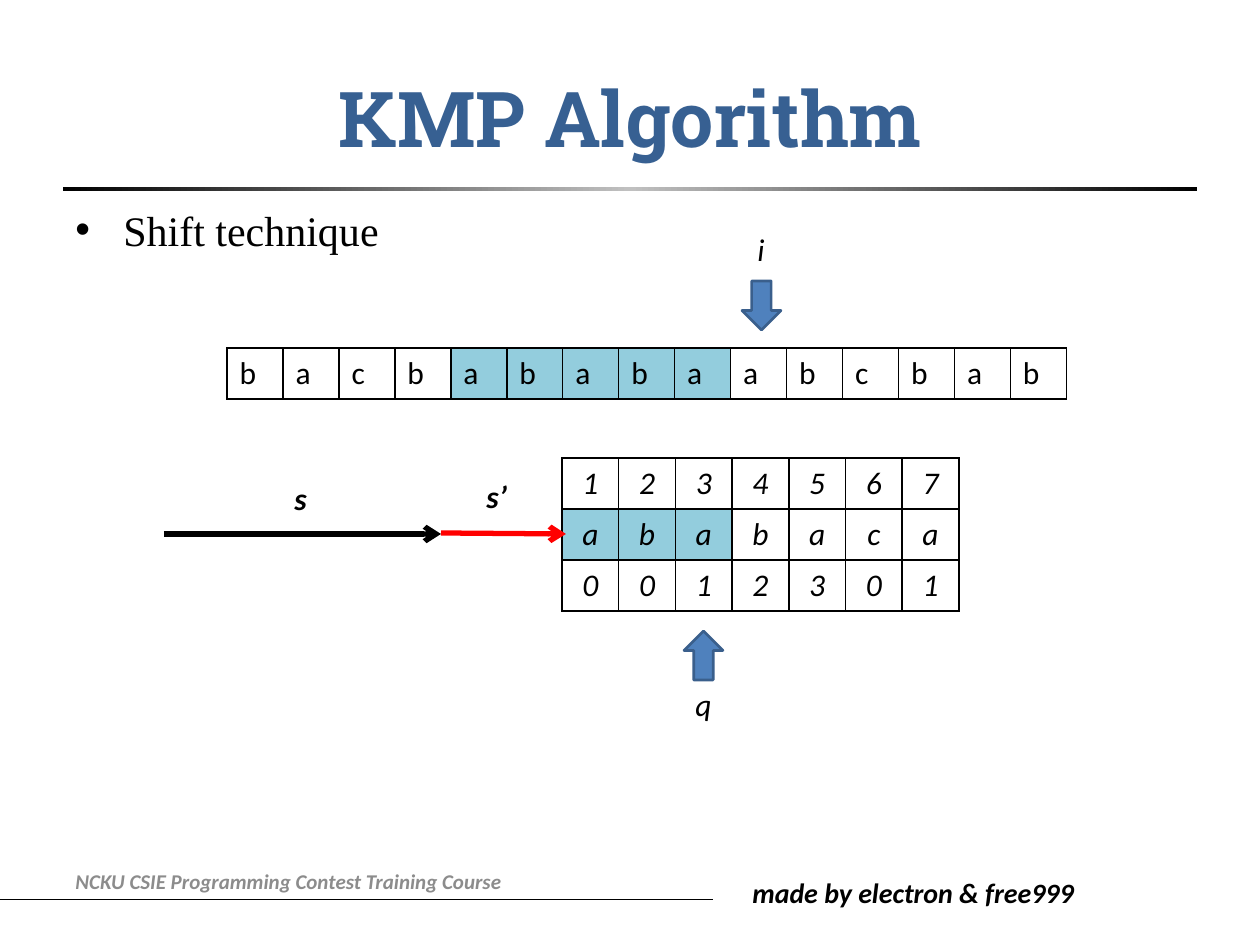
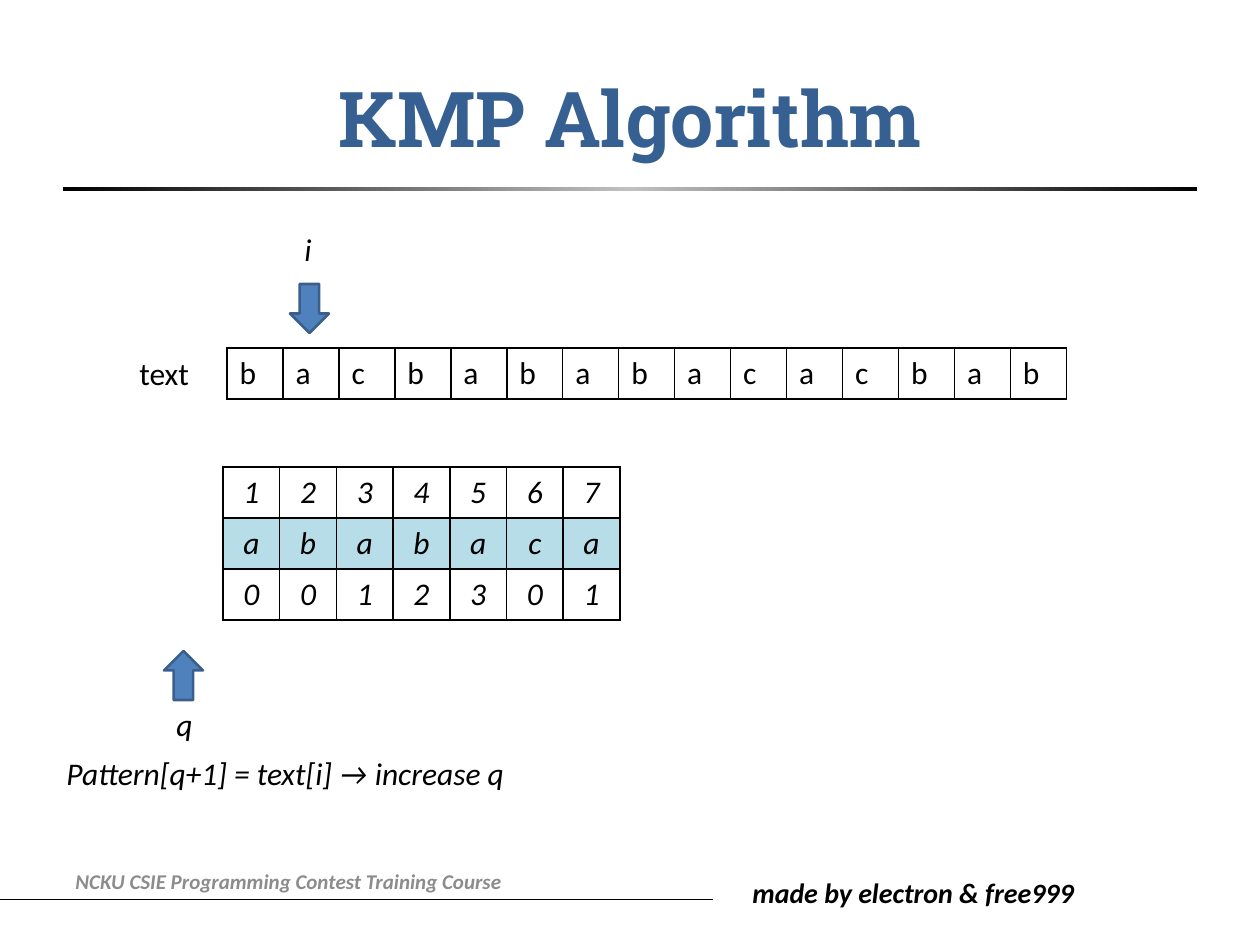
import copy
import lxml.etree
import pptx
import pptx.dml.color
import pptx.enum.shapes
import pptx.enum.text
import pptx.oxml.ns
import pptx.util

PX = 914400 / 126  # EMU in one px
COLORS = {
    "title": "376092", "ink": "000000", "footer": "8C8C8C", "silver": "C0C0C0",
    "red": "FF0000", "arrow": "4F81BD", "arrow_edge": "3A5F8C",
    "match": "93CDDD", "pattern": "B7DEE8",
}
RGB = {name: pptx.dml.color.RGBColor.from_string(value) for name, value in COLORS.items()}
ALIGN = pptx.enum.text.PP_ALIGN
MIDDLE = pptx.enum.text.MSO_ANCHOR.MIDDLE
SHAPES = pptx.enum.shapes.MSO_SHAPE
qn = pptx.oxml.ns.qn


def add_text(slide, box, text, size=18, color="ink", font="Calibri", bold=False, italic=True):
    shape = slide.shapes.add_textbox(*[round(n * PX) for n in box])
    shape.text_frame.word_wrap = True
    paragraph = shape.text_frame.paragraphs[0]
    paragraph.text = text
    paragraph.font.name, paragraph.font.size = font, pptx.util.Pt(size)
    paragraph.font.bold, paragraph.font.italic = bold, italic
    paragraph.font.color.rgb = RGB[color]
    return shape


def add_grid(slide, left, top, width, rows, filled, fill_color, align, italic):
    """Draw one row per string, one letter per cell; filled holds (row, column) pairs."""
    columns = len(rows[0])
    box = [round(n * PX) for n in (left, top, width, 51 * len(rows))]
    table = slide.shapes.add_table(len(rows), columns, *box).table
    table.first_row = table.horz_banding = False
    for column in table.columns:
        column.width = round(width * PX / columns)
    for r, letters in enumerate(rows):
        for c, letter in enumerate(letters):
            cell = table.cell(r, c)
            cell.text = letter
            paragraph = cell.text_frame.paragraphs[0]
            paragraph.alignment = align
            paragraph.font.name, paragraph.font.size = "Calibri", pptx.util.Pt(18)
            paragraph.font.bold, paragraph.font.italic = False, italic
            paragraph.font.color.rgb = RGB["ink"]
            properties = cell._tc.get_or_add_tcPr()
            for side in ("lnL", "lnR", "lnT", "lnB"):
                border = lxml.etree.SubElement(properties, qn("a:" + side), w="12700")
                solid = lxml.etree.SubElement(border, qn("a:solidFill"))
                lxml.etree.SubElement(solid, qn("a:srgbClr"), val=COLORS["ink"])
            if (r, c) in filled:
                cell.fill.solid()
                cell.fill.fore_color.rgb = RGB[fill_color]
            else:
                cell.fill.background()


# What each slide shows; lengths in px
PATTERN_ROWS = ["1234567", "ababaca", "0012301"]
BOLD = {"bold": True}
UPRIGHT = {"italic": False}
SLIDES = [
    {
        "bullet": "Shift technique",
        "text": "bacbababaabcbab", "text_match": range(4, 9),
        "pattern_at": (562, 458), "pattern_match": range(3), "pattern_color": "match",
        "shifts": [(164, 534, 441, 534, "ink", 3, True), (441, 533, 566, 534, "red", 3, True)],
        "pointers": [(SHAPES.DOWN_ARROW, 742, 281), (SHAPES.UP_ARROW, 684, 631)],
        "labels": [
            ((282, 473, 59, 50), "s", BOLD), ((474, 471, 59, 50), "s’", BOLD),
            ((745, 224, 39, 50), "i", {}), ((683, 679, 39, 50), "q", {}),
        ],
    },
    {
        "bullet": None,
        "text": "bacbababacacbab", "text_match": [],
        "pattern_at": (223, 467), "pattern_match": range(7), "pattern_color": "pattern",
        "shifts": [],
        "pointers": [(SHAPES.DOWN_ARROW, 290, 284), (SHAPES.UP_ARROW, 164, 651)],
        "labels": [
            ((127, 348, 100, 50), "text", UPRIGHT), ((292, 224, 39, 50), "i", {}),
            ((164, 699, 39, 50), "q", {}),
            ((54, 748, 507, 50), "Pattern[q+1] = text[i] → increase q", {}),
        ],
    },
]
FOOTER_RULE = (0, 899, 713, 899, "ink", 0.5, False)

presentation = pptx.Presentation()
presentation.slide_width, presentation.slide_height = round(1260 * PX), round(945 * PX)

for content in SLIDES:
    slide = presentation.slides.add_slide(presentation.slide_layouts[5])

    # Title
    title = slide.shapes.title
    title.left, title.top, title.width, title.height = [round(n * PX) for n in (63, 38, 1134, 157)]
    title.text_frame.vertical_anchor = MIDDLE
    paragraph = title.text_frame.paragraphs[0]
    paragraph.text = "KMP Algorithm"
    paragraph.alignment = ALIGN.CENTER
    paragraph.font.name, paragraph.font.size = "Roboto Slab", pptx.util.Pt(44)
    paragraph.font.bold = True
    paragraph.font.color.rgb = RGB["title"]

    # Gradient band under the title
    band = slide.shapes.add_shape(SHAPES.RECTANGLE, *[round(n * PX) for n in (63, 187, 1134, 4)])
    band.shadow.inherit = False
    band.line.fill.background()
    band.fill.gradient()
    band.fill.gradient_angle = 0
    for stop in band.fill.gradient_stops:
        stop.color.rgb = RGB["ink"]
    first_stop = next(band._element.iter(qn("a:gs")))
    middle_stop = copy.deepcopy(first_stop)
    middle_stop.set("pos", "50000")
    middle_stop[0].set("val", COLORS["silver"])
    first_stop.addnext(middle_stop)

    # Footer texts
    add_text(slide, (740, 869, 373, 47), "made by electron & free999", 16, bold=True)
    course = add_text(slide, (63, 856, 636, 50), "NCKU CSIE Programming Contest Training Course",
                      12, "footer", bold=True)
    course.text_frame.vertical_anchor = MIDDLE

    # Bullet
    if content["bullet"]:
        body = add_text(slide, (63, 198, 1134, 624), content["bullet"], 24,
                        font="Times New Roman", italic=False)
        paragraph = body.text_frame.paragraphs[0]
        paragraph.space_before = pptx.util.Pt(5)
        properties = paragraph._p.get_or_add_pPr()
        properties.set("marL", str(round(48 * PX)))
        properties.set("indent", str(round(-48 * PX)))
        bullet_font = lxml.etree.Element(qn("a:buFont"), typeface="Arial")
        bullet = lxml.etree.Element(qn("a:buChar"), char="•")
        properties.find(qn("a:spcBef")).addnext(bullet_font)
        bullet_font.addnext(bullet)

    # Pattern table and searched text
    add_grid(slide, *content["pattern_at"], 397, PATTERN_ROWS,
             [(1, c) for c in content["pattern_match"]], content["pattern_color"],
             ALIGN.CENTER, True)
    add_grid(slide, 227, 348, 840, [content["text"]],
             [(0, c) for c in content["text_match"]], "match", ALIGN.LEFT, False)

    # Footer rule and shift arrows
    for x1, y1, x2, y2, color, weight, has_head in [FOOTER_RULE] + content["shifts"]:
        connector = slide.shapes.add_connector(
            pptx.enum.shapes.MSO_CONNECTOR.STRAIGHT, *[round(n * PX) for n in (x1, y1, x2, y2)])
        connector.line.color.rgb = RGB[color]
        connector.line.width = pptx.util.Pt(weight)
        if has_head:
            lxml.etree.SubElement(connector.line._get_or_add_ln(), qn("a:tailEnd"), type="arrow")
        lxml.etree.SubElement(connector._element.spPr, qn("a:effectLst"))

    # Index pointers
    for kind, left, top in content["pointers"]:
        pointer = slide.shapes.add_shape(kind, *[round(n * PX) for n in (left, top, 39, 49)])
        pointer.shadow.inherit = False
        pointer.fill.solid()
        pointer.fill.fore_color.rgb = RGB["arrow"]
        pointer.line.color.rgb = RGB["arrow_edge"]
        pointer.line.width = pptx.util.Pt(1.5)

    # Labels
    for box, text, style in content["labels"]:
        add_text(slide, box, text, **style)

presentation.save("out.pptx")
